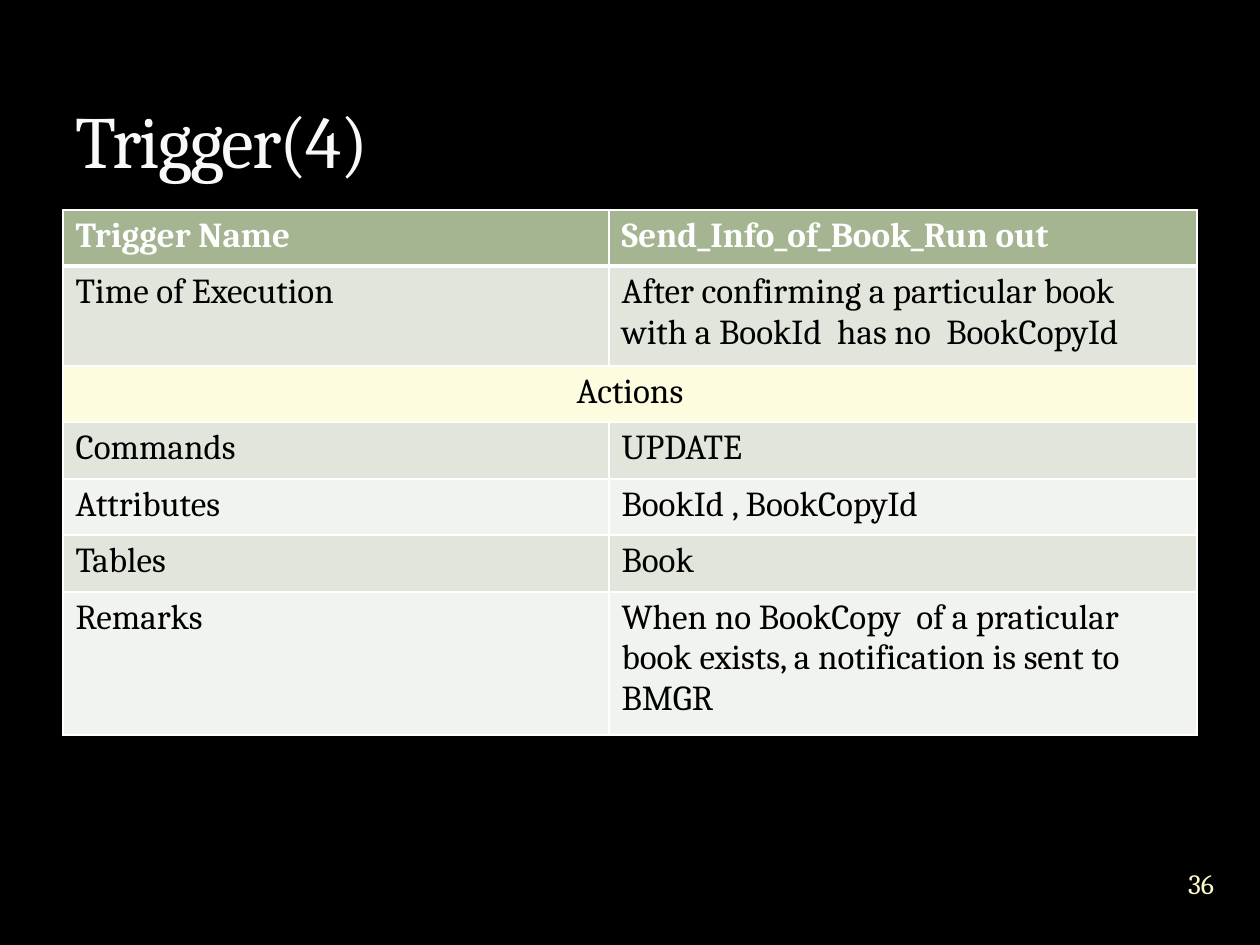
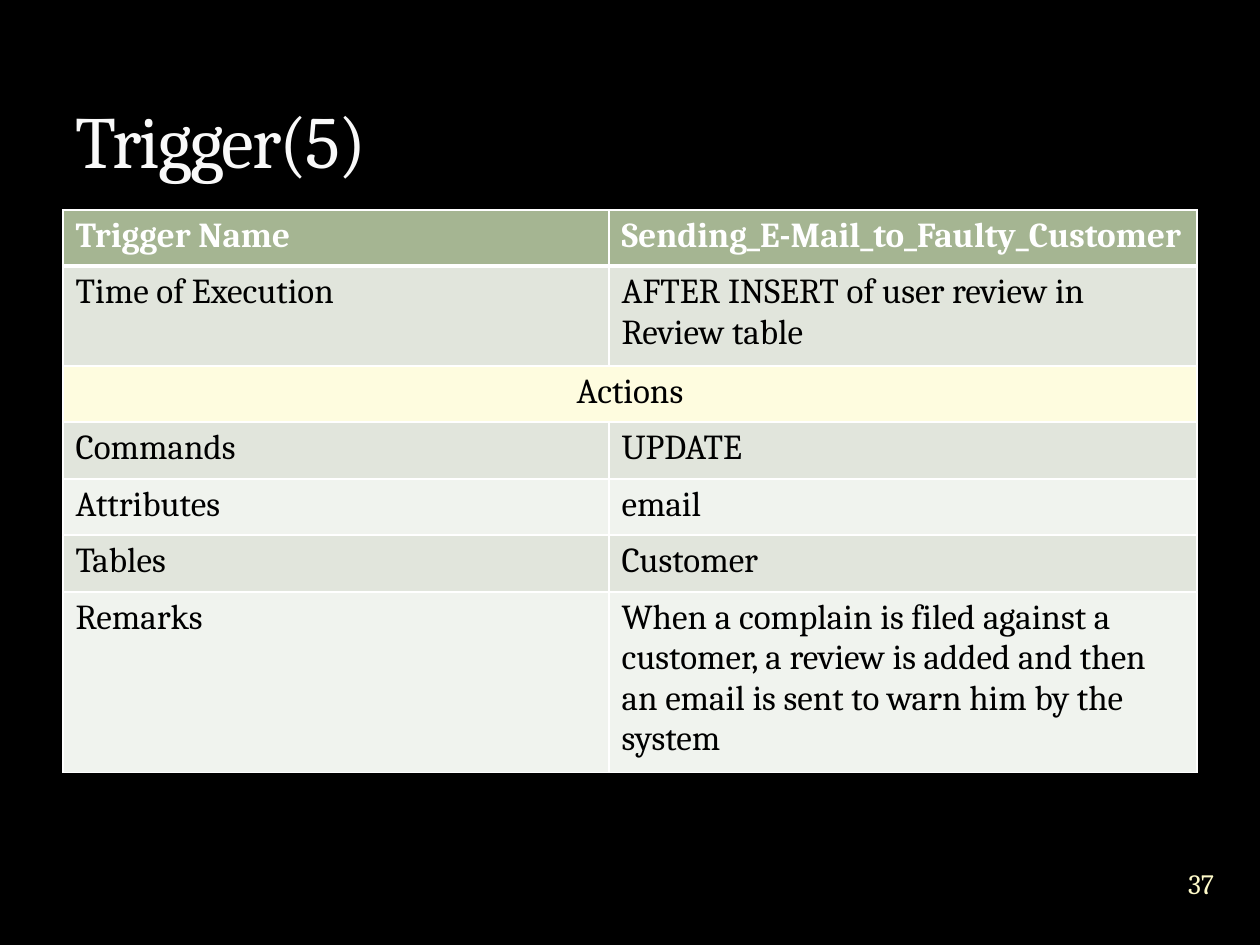
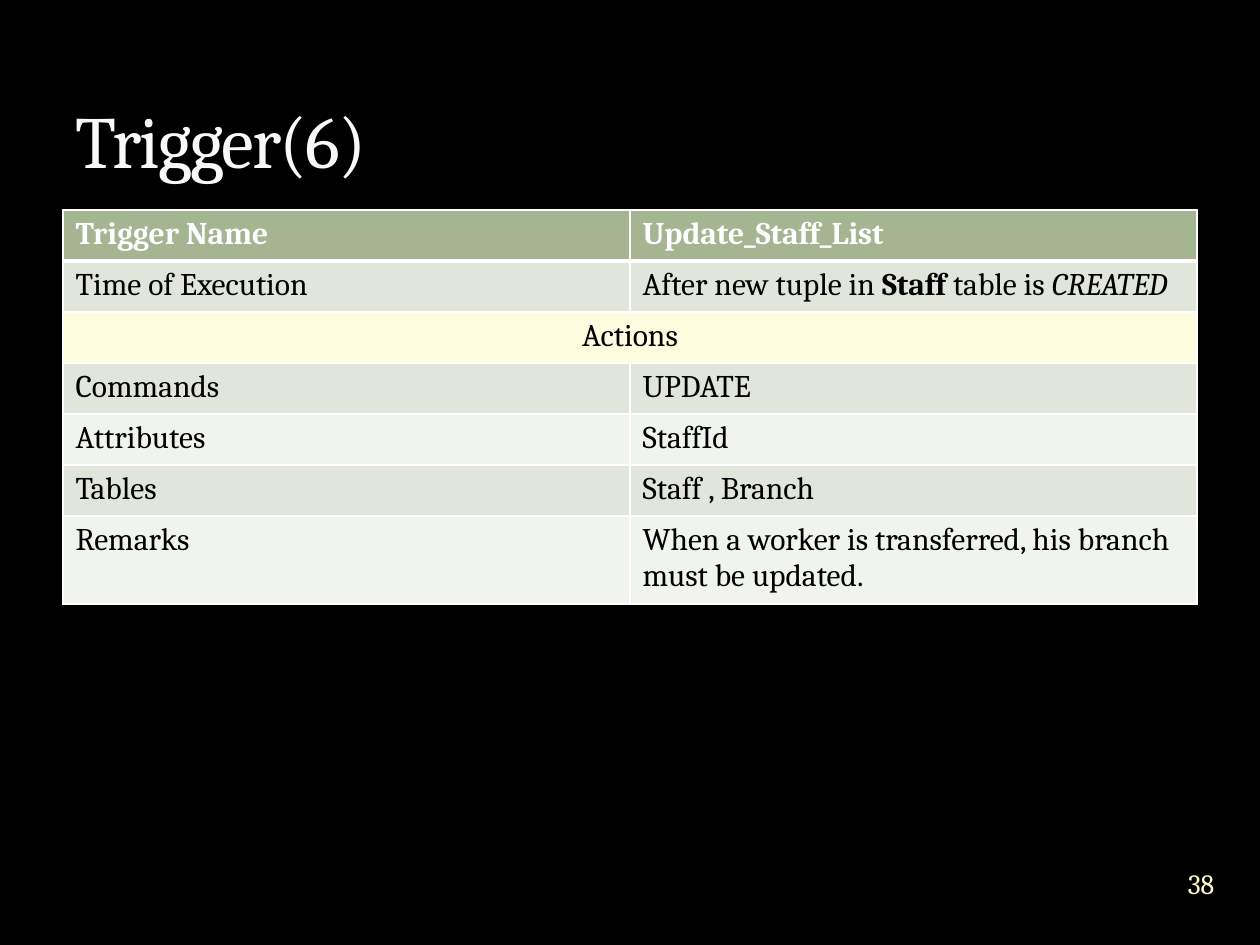
from dataclasses import dataclass

from lxml import etree
from pptx import Presentation
from pptx.dml.color import RGBColor
from pptx.enum.text import MSO_ANCHOR, PP_ALIGN
from pptx.oxml.ns import qn
from pptx.util import Emu, Pt

LEFT, CENTER = PP_ALIGN.LEFT, PP_ALIGN.CENTER
TOP, MIDDLE, BOTTOM = MSO_ANCHOR.TOP, MSO_ANCHOR.MIDDLE, MSO_ANCHOR.BOTTOM

LABELS = ["Trigger Name", "Time of Execution", "Actions", "Commands",
          "Attributes", "Tables", "Remarks"]
ACTIONS_ROW = LABELS.index("Actions")

TRIGGERS = [
    {
        "title": "Trigger(4)", "page": "36", "size": 20,
        "columns": [546, 588], "rows": [56, 100, 56, 57, 56, 57, 143],
        "details": [
            "Send_Info_of_Book_Run out",
            "After confirming a particular book with a BookId  has no  BookCopyId",
            "",
            "UPDATE",
            "BookId , BookCopyId",
            "Book",
            "When no BookCopy  of a praticular book exists, a notification is sent to BMGR",
        ],
    },
    {
        "title": "Trigger(5)", "page": "37", "size": 20,
        "columns": [546, 588], "rows": [56, 100, 56, 57, 56, 57, 174],
        "details": [
            "Sending_E-Mail_to_Faulty_Customer",
            "AFTER INSERT of user review in Review table",
            "",
            "UPDATE",
            "email",
            "Customer",
            "When a complain is filed against a customer, a review is added and then "
            "an email is sent to warn him by the system",
        ],
    },
    {
        "title": "Trigger(6)", "page": "38", "size": 18,
        "columns": [567, 567], "rows": [51, 51, 51, 51, 51, 51, 86],
        "details": [
            "Update_Staff_List",
            [("After new tuple in ", ""), ("Staff ", "b"), ("table is ", ""), ("CREATED", "i")],
            "",
            "UPDATE",
            "StaffId",
            "Staff , Branch",
            "When a worker is transferred, his branch must be updated.",
        ],
    },
]


@dataclass(frozen=True)
class Theme:
    font: str = "Cambria"
    background: str = "000000"
    title: str = "F9F9F9"
    title_outline: str = "3C4422"
    page: str = "FEFAC9"
    header: str = "A5B592"
    header_text: str = "FFFFFF"
    body_text: str = "000000"
    odd_band: str = "E1E5DC"
    even_band: str = "F0F3EE"
    actions: str = "FEFCDF"
    border: str = "FFFFFF"
    title_size: int = 42
    page_size: int = 16
    thin: int = 1
    thick: int = 3


THEME = Theme()
SLIDE_SIZE = (1260, 945)
TITLE_BOX = (63, 21, 1134, 168)
PAGE_BOX = (1159, 852, 84, 63)
TABLE_CORNER = (63, 210)


def px(length):
    return Emu(round(length * 914400 / 126))


def rgb(color):
    return RGBColor.from_string(color)


def line_xml(parent, tag, color, points, alpha=100):
    line = etree.SubElement(parent, qn(tag), w=str(int(Pt(points))))
    shade = etree.SubElement(etree.SubElement(line, qn("a:solidFill")), qn("a:srgbClr"), val=color)
    if alpha < 100:
        etree.SubElement(shade, qn("a:alpha"), val=str(alpha * 1000))
    return line


def write(frame, text, *, size, color, bold=False, align=LEFT, spacing=0, outline=None):
    paragraph = frame.paragraphs[0]
    paragraph.alignment = align
    for words, style in [(text, "")] if isinstance(text, str) else text:
        run = paragraph.add_run()
        run.text = words
        font = run.font
        font.name, font.size = THEME.font, Pt(size)
        font.bold, font.italic = bold or style == "b", style == "i"
        font.color.rgb = rgb(color)
        properties = run._r.get_or_add_rPr()
        if spacing:
            properties.set("spc", str(spacing * 100))
        if outline:
            properties.insert(0, line_xml(properties, "a:ln", outline, 0.25, alpha=25))


def add_text(slide, box, text, *, anchor, inset=True, **style):
    frame = slide.shapes.add_textbox(*map(px, box)).text_frame
    frame.word_wrap = True
    frame.vertical_anchor = anchor
    if not inset:
        frame.margin_left = frame.margin_right = frame.margin_top = frame.margin_bottom = 0
    write(frame, text, **style)


def set_borders(cell, row):
    properties = cell._tc.get_or_add_tcPr()
    widths = {
        "a:lnL": THEME.thin,
        "a:lnR": THEME.thin,
        "a:lnT": THEME.thick if row == 1 else THEME.thin,
        "a:lnB": THEME.thick if row == 0 else THEME.thin,
    }
    for position, (side, width) in enumerate(widths.items()):
        properties.insert(position, line_xml(properties, side, THEME.border, width))


def row_fill(row):
    if row == 0:
        return THEME.header
    if row == ACTIONS_ROW:
        return THEME.actions
    return THEME.odd_band if row % 2 else THEME.even_band


def add_trigger_table(slide, trigger):
    columns, rows = trigger["columns"], trigger["rows"]
    box = (*TABLE_CORNER, sum(columns), sum(rows))
    table = slide.shapes.add_table(len(rows), len(columns), *map(px, box)).table
    for column, width in zip(table.columns, columns):
        column.width = px(width)
    for row, height in enumerate(rows):
        table.rows[row].height = px(height)
        for column, text in enumerate((LABELS[row], trigger["details"][row])):
            cell = table.cell(row, column)
            cell.vertical_anchor = TOP
            cell.fill.solid()
            cell.fill.fore_color.rgb = rgb(row_fill(row))
            set_borders(cell, row)
            if text:
                write(cell.text_frame, text, size=trigger["size"], bold=row == 0,
                      color=THEME.body_text if row else THEME.header_text,
                      align=CENTER if row == ACTIONS_ROW else LEFT)
    table.cell(ACTIONS_ROW, 0).merge(table.cell(ACTIONS_ROW, 1))


def add_trigger_slide(deck, trigger):
    slide = deck.slides.add_slide(deck.slide_layouts[6])
    slide.background.fill.solid()
    slide.background.fill.fore_color.rgb = rgb(THEME.background)
    add_trigger_table(slide, trigger)
    add_text(slide, PAGE_BOX, trigger["page"], anchor=MIDDLE, inset=False,
             size=THEME.page_size, color=THEME.page, align=CENTER)
    add_text(slide, TITLE_BOX, trigger["title"], anchor=BOTTOM, size=THEME.title_size,
             color=THEME.title, spacing=-1, outline=THEME.title_outline)


def main():
    deck = Presentation()
    deck.slide_width, deck.slide_height = map(px, SLIDE_SIZE)
    for trigger in TRIGGERS:
        add_trigger_slide(deck, trigger)
    deck.save("out.pptx")


if __name__ == "__main__":
    main()
